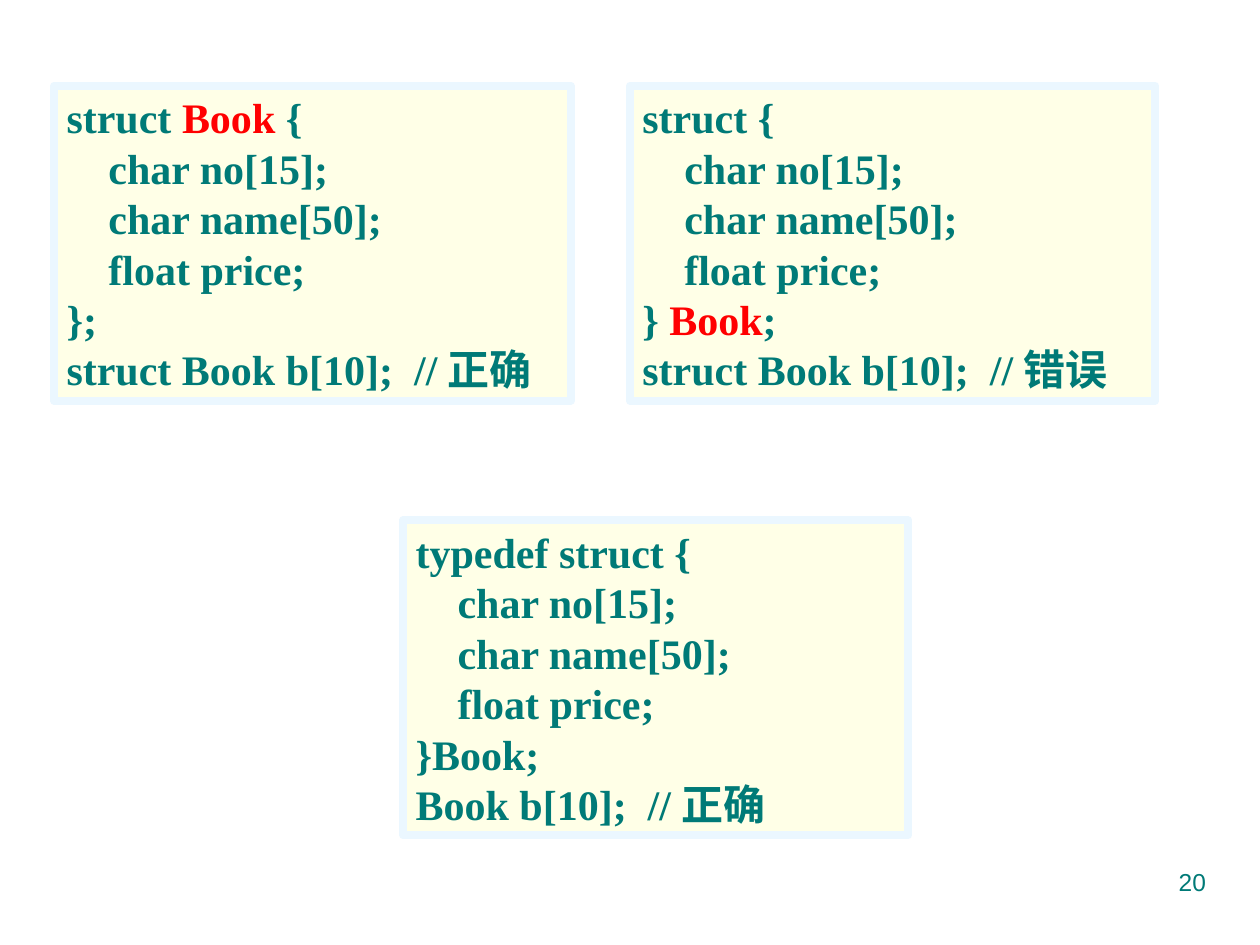
from pptx import Presentation
from pptx.dml.color import RGBColor
from pptx.enum import shapes, text
from pptx.util import Inches, Pt

THEME = {
    "ink": RGBColor.from_string("007A77"),
    "highlight": RGBColor.from_string("FF0000"),
    "panel": RGBColor.from_string("FFFFE7"),
    "border": RGBColor.from_string("EBF7FF"),
    "border_width": Pt(4.5),
    "code_font": "Times New Roman",
    "code_size": Pt(24),
    "number_font": "Arial",
    "number_size": Pt(14),
}

FIELDS = ["    char no[15];", "    char name[50];", "    float price;"]
HIGHLIGHT = "Book"
PANEL_HEIGHT = 2.5
TOP_ROW, BOTTOM_ROW = 0.68, 4.13

# Each code line is a string, or a tuple of runs in which HIGHLIGHT is coloured.
EXAMPLES = [
    {"left": 0.43, "top": TOP_ROW, "width": 4.1,
     "code": [("struct ", HIGHLIGHT, " {"), *FIELDS, "};",
              "struct Book b[10];  //正确"]},
    {"left": 5, "top": TOP_ROW, "width": 4.17,
     "code": ["struct {", *FIELDS, ("} ", HIGHLIGHT, ";"),
              "struct Book b[10];  //错误"]},
    {"left": 3.2, "top": BOTTOM_ROW, "width": 4.01,
     "code": ["typedef struct {", *FIELDS, "}Book;",
              "Book b[10];  //正确"]},
]
PAGE_NUMBER = "20"


def style(paragraph, font_name, size, bold, alignment):
    paragraph.alignment = alignment
    font = paragraph.font
    font.name, font.size, font.bold = font_name, size, bold
    font.color.rgb = THEME["ink"]


def add_example(slide, example):
    panel = slide.shapes.add_shape(
        shapes.MSO_SHAPE.RECTANGLE, Inches(example["left"]), Inches(example["top"]),
        Inches(example["width"]), Inches(PANEL_HEIGHT))
    panel.shadow.inherit = False
    panel.fill.solid()
    panel.fill.fore_color.rgb = THEME["panel"]
    panel.line.color.rgb = THEME["border"]
    panel.line.width = THEME["border_width"]

    frame = panel.text_frame
    frame.word_wrap = True
    frame.auto_size = text.MSO_AUTO_SIZE.SHAPE_TO_FIT_TEXT
    frame.vertical_anchor = text.MSO_ANCHOR.TOP
    for index, line in enumerate(example["code"]):
        paragraph = frame.add_paragraph() if index else frame.paragraphs[0]
        style(paragraph, THEME["code_font"], THEME["code_size"], True,
              text.PP_ALIGN.LEFT)
        for part in (line,) if isinstance(line, str) else line:
            run = paragraph.add_run()
            run.text = part
            if part == HIGHLIGHT:
                run.font.color.rgb = THEME["highlight"]


def add_page_number(slide):
    number = slide.shapes.add_textbox(
        Inches(7.17), Inches(6.83), Inches(2.5), Inches(0.52))
    number.text_frame.word_wrap = True
    paragraph = number.text_frame.paragraphs[0]
    paragraph.text = PAGE_NUMBER
    style(paragraph, THEME["number_font"], THEME["number_size"], False,
          text.PP_ALIGN.RIGHT)


def main():
    deck = Presentation()
    deck.slide_width, deck.slide_height = Inches(10), Inches(7.5)
    slide = deck.slides.add_slide(deck.slide_layouts[6])
    for example in EXAMPLES:
        add_example(slide, example)
    add_page_number(slide)
    deck.save("out.pptx")


if __name__ == "__main__":
    main()
